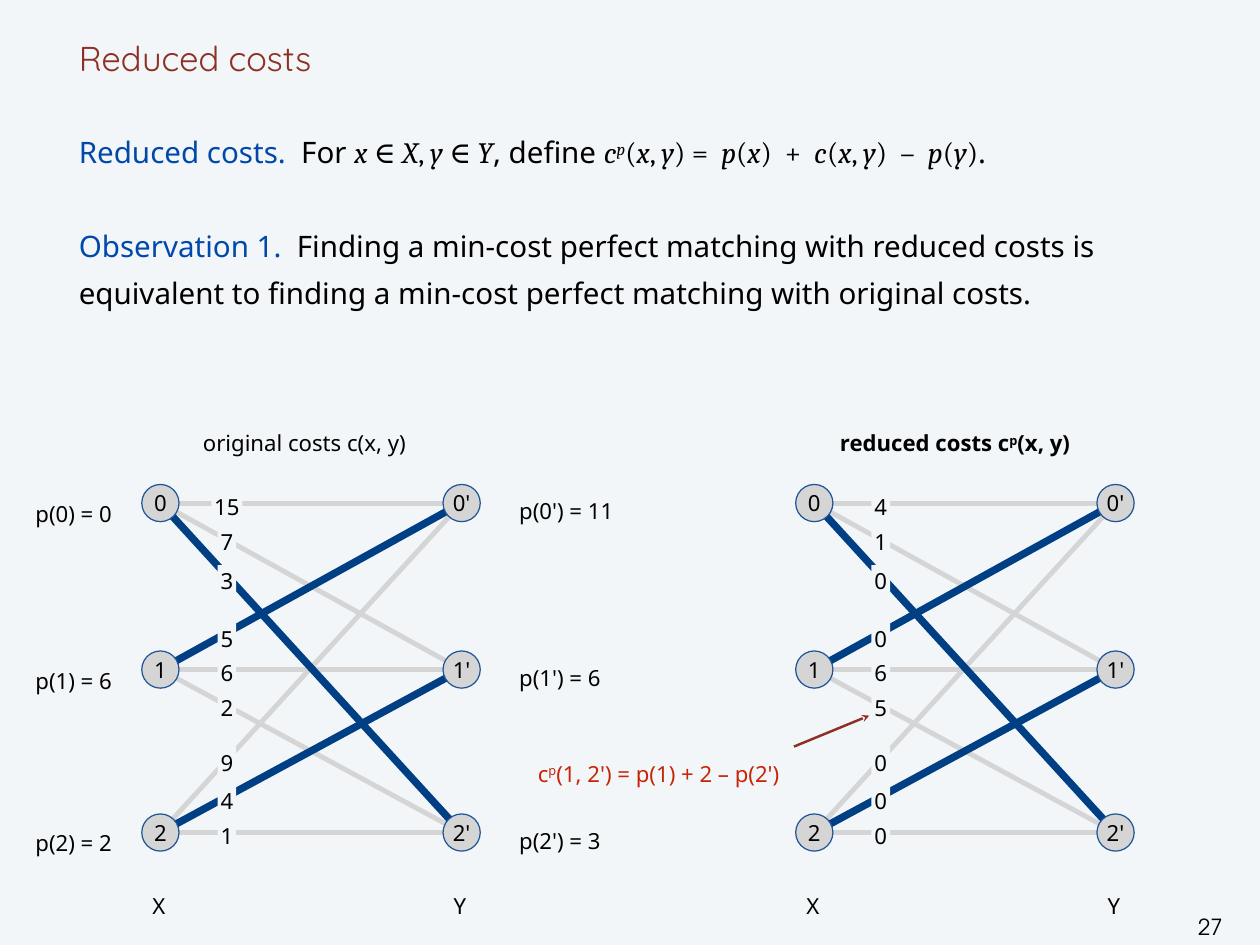
from dataclasses import dataclass
from itertools import groupby

from lxml import etree
from pptx import Presentation
from pptx.dml.color import RGBColor
from pptx.enum.shapes import MSO_CONNECTOR, MSO_SHAPE
from pptx.enum.text import MSO_ANCHOR, MSO_AUTO_SIZE, PP_ALIGN
from pptx.oxml.ns import qn
from pptx.util import Inches, Pt

LINE = MSO_CONNECTOR.STRAIGHT
OVAL, RECT = MSO_SHAPE.OVAL, MSO_SHAPE.RECTANGLE
BOTTOM, MIDDLE, TOP = MSO_ANCHOR.BOTTOM, MSO_ANCHOR.MIDDLE, MSO_ANCHOR.TOP
LEFT, CENTER = PP_ALIGN.LEFT, PP_ALIGN.CENTER
GROW = MSO_AUTO_SIZE.SHAPE_TO_FIT_TEXT


@dataclass(frozen=True)
class Theme:
    background: str = "F2F6F9"
    text: str = "000000"
    title: str = "8D3124"
    term: str = "0048AA"
    note: str = "C82506"
    edge: str = "D5D5D5"
    matched: str = "003F83"
    node_line: str = "1F5597"
    body_font: str = "Noto Sans"
    math_font: str = "Cambria"
    title_font: str = "Quicksand"
    number_font: str = "TeX Gyre Adventor"
    title_size: int = 28
    body_size: int = 24
    label_size: int = 18
    body_leading: int = 38
    number_leading: int = 14
    label_leading: float = 1.3


THEME = Theme()

ROWS = (0, 1.88, 3.72)
COST_TOPS = ((-0.14, 0.26, 0.7), (1.35, 1.74, 2.13), (2.75, 3.18, 3.58))
MATCHING = {0: 2, 1: 0, 2: 1}
ORIGINAL_COSTS = ((15, 7, 3), (5, 6, 2), (9, 4, 1))
REDUCED_COSTS = ((4, 1, 0), (0, 6, 5), (0, 0, 0))
X_POTENTIALS = (0, 6, 2)
Y_POTENTIALS = (11, 6, 3)


def rgb(color):
    return RGBColor.from_string(color)


def style(r, size, color=THEME.text, font=THEME.body_font, bold=None, italic=None):
    r.font.size = Pt(size)
    r.font.name = font
    r.font.color.rgb = rgb(color)
    r.font.bold = bold
    r.font.italic = italic


def add_runs(p, text, size, **look):
    """Add text as runs; a letter after ^ is raised."""
    for i, part in enumerate(text.split("^")):
        pieces = (part[:1], part[1:]) if i else ("", part)
        for raised, piece in zip((True, False), pieces):
            if piece:
                r = p.add_run()
                r.text = piece
                style(r, size, **look)
                if raised:
                    r.font._element.set("baseline", "30000")


def add_formula(p, text):
    """Set letters in italics and everything else upright."""
    raised = False
    for is_letter, group in groupby(text, str.isalpha):
        piece = "".join(group)
        if piece == "^":
            raised = True
            continue
        add_runs(p, "^" + piece if raised else piece, THEME.body_size,
                 font=THEME.math_font, italic=is_letter)
        raised = False


def set_frame(tf, inset=0, anchor=TOP, wrap=False, grow=False):
    tf.margin_left = tf.margin_right = tf.margin_top = tf.margin_bottom = Inches(inset)
    tf.vertical_anchor = anchor
    tf.word_wrap = wrap
    if grow:
        tf.auto_size = GROW


def add_box(s, x, y, w, h, **frame):
    tf = s.shapes.add_textbox(Inches(x), Inches(y), Inches(w), Inches(h)).text_frame
    set_frame(tf, **frame)
    return tf


def add_label(s, text, x, y, w, h=0.29, **look):
    p = add_box(s, x, y, w, h).paragraphs[0]
    p.alignment = LEFT
    p.line_spacing = THEME.label_leading
    add_runs(p, text, THEME.label_size, **look)


def add_line(s, start, end, color, width):
    line = s.shapes.add_connector(LINE, *(Inches(v) for v in (*start, *end)))
    line.line.color.rgb = rgb(color)
    line.line.width = Pt(width)
    etree.SubElement(line._element.spPr, qn("a:effectLst"))
    return line


def add_filled(s, preset, text, x, y, w, h, fill, outline=None, **frame):
    sp = s.shapes.add_shape(preset, Inches(x), Inches(y), Inches(w), Inches(h))
    sp.shadow.inherit = False
    sp.fill.solid()
    sp.fill.fore_color.rgb = rgb(fill)
    if outline:
        sp.line.color.rgb = rgb(outline)
        sp.line.width = Pt(1)
    else:
        sp.line.fill.background()
    set_frame(sp.text_frame, **frame)
    p = sp.text_frame.paragraphs[0]
    p.text = text
    p.alignment = CENTER
    style(p.runs[0], THEME.label_size)


def add_title(s, x, y, w, h):
    p = add_box(s, x, y, w, h, anchor=BOTTOM, wrap=True).paragraphs[0]
    p.line_spacing = Pt(THEME.body_leading)
    add_runs(p, "Reduced costs", THEME.title_size,
             color=THEME.title, font=THEME.title_font)


def add_statements(s, x, y, w, h):
    tf = add_box(s, x, y, w, h, wrap=True)
    size = THEME.body_size
    p = tf.paragraphs[0]
    add_runs(p, "Reduced costs.", size, color=THEME.term)
    add_runs(p, "  For ", size)
    add_formula(p, "x ∈ X, y ∈ Y")
    add_runs(p, ", define ", size)
    add_formula(p, "c^p(x, y) =  p(x)  +  c(x, y)  –  p(y)")
    add_runs(p, ".", size)
    p = tf.add_paragraph()
    p.space_before = Pt(THEME.body_leading)
    add_runs(p, "Observation 1.  ", size, color=THEME.term)
    add_runs(p, "Finding a min-cost perfect matching with reduced costs is equivalent "
             "to finding a min-cost perfect matching with original costs.", size)
    for p in tf.paragraphs:
        p.line_spacing = Pt(THEME.body_leading)


def add_graph(s, x, y, w, costs):
    """Bipartite graph; x and y are the centre of node 0, w the gap between sides."""
    pairs = [(i, j) for i in range(3) for j in range(3)]
    for i, j in sorted(pairs, key=lambda pair: MATCHING[pair[0]] == pair[1]):
        color, width = (THEME.matched, 6) if MATCHING[i] == j else (THEME.edge, 4)
        add_line(s, (x, y + ROWS[i]), (x + w, y + ROWS[j]), color, width)
    for side_x, side, mark in ((x, "X", ""), (x + w, "Y", "'")):
        for i, row in enumerate(ROWS):
            add_filled(s, OVAL, f"{i}{mark}", side_x - 0.21, y + row - 0.21, 0.42, 0.42,
                       THEME.edge, THEME.node_line, anchor=MIDDLE)
        add_label(s, side, side_x - 0.09, y + 4.31, 0.18)
    for i, j in pairs:
        text = str(costs[i][j])
        width = 0.07 + 0.14 * len(text)
        add_filled(s, RECT, text, x + 0.75 - width / 2, y + COST_TOPS[i][j], width, 0.31,
                   THEME.background, inset=0.03, grow=True)


def add_potentials(s, x, y, w, values, mark=""):
    for i, (row, value) in enumerate(zip(ROWS, values)):
        add_label(s, f"p({i}{mark}) = {value}", x, y + row, w, 0.25)


def add_reduced_cost_note(s, x, y, w, h):
    add_label(s, "c^p(1, 2') = p(1) + 2 – p(2')", x, y, w, h, color=THEME.note)
    arrow = add_line(s, (x + 2.89, y - 0.06), (x + 3.74, y - 0.41), THEME.title, 2)
    etree.SubElement(arrow.line._get_or_add_ln(), qn("a:tailEnd"), type="stealth")


def add_slide_number(s, x, y, w, h):
    p = add_box(s, x, y, w, h).paragraphs[0]
    p.alignment = CENTER
    p.line_spacing = Pt(THEME.number_leading)
    add_runs(p, "27", THEME.label_size, font=THEME.number_font)


def main():
    prs = Presentation()
    prs.slide_width, prs.slide_height = Inches(14.22), Inches(10.67)
    s = prs.slides.add_slide(prs.slide_layouts[6])
    s.background.fill.solid()
    s.background.fill.fore_color.rgb = rgb(THEME.background)

    add_title(s, 0.89, 0, 12.44, 0.89)
    add_statements(s, 0.89, 1.39, 12.44, 2.4)
    add_label(s, "original costs c(x, y)", 2.29, 4.76, 2.6)
    add_graph(s, 1.81, 5.68, 3.4, ORIGINAL_COSTS)
    add_potentials(s, 0.4, 5.56, 0.94, X_POTENTIALS)
    add_potentials(s, 5.86, 5.53, 1.14, Y_POTENTIALS, "'")
    add_label(s, "reduced costs c^p(x, y)", 9.48, 4.76, 2.76, bold=True)
    add_graph(s, 9.19, 5.68, 3.4, REDUCED_COSTS)
    add_reduced_cost_note(s, 6.07, 8.49, 3.04, 0.38)
    add_slide_number(s, 13.36, 10.42, 0.6, 0.2)
    prs.save("out.pptx")


if __name__ == "__main__":
    main()
